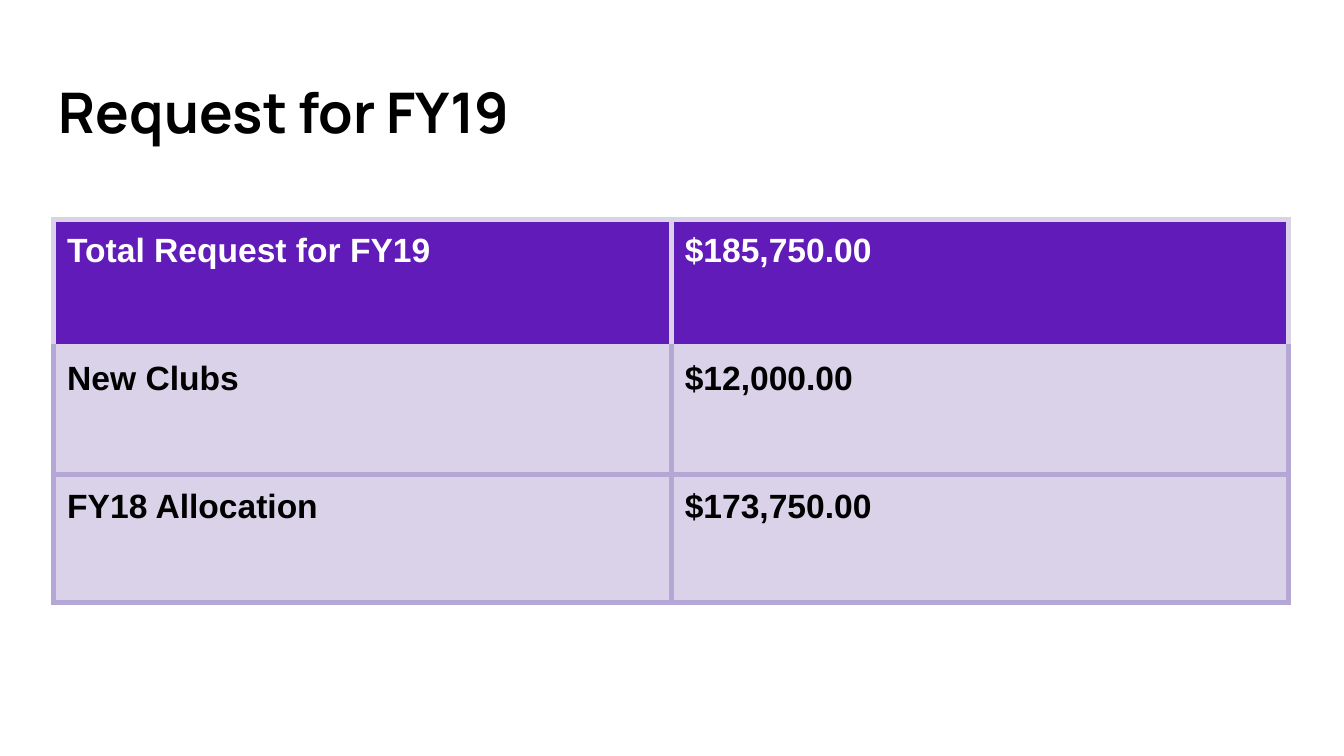
import pptx
import pptx.util
import pptx.dml.color
import pptx.enum.text
import pptx.oxml
import pptx.oxml.ns

Inches = pptx.util.Inches
TOP = pptx.enum.text.MSO_ANCHOR.TOP
MIDDLE = pptx.enum.text.MSO_ANCHOR.MIDDLE

PURPLE, LILAC, EDGE = "611BB8", "D9D2E9", "B4A7D6"
WHITE, BLACK = "FFFFFF", "000000"
ROWS = [
    ("Total Request for FY19", "$185,750.00"),
    ("New Clubs", "$12,000.00"),
    ("FY18 Allocation", "$173,750.00"),
]


def color(code):
    return pptx.dml.color.RGBColor.from_string(code)


def write(frame, text, size, name, code):
    para = frame.paragraphs[0]
    para.text = text
    font = para.runs[0].font
    style = {"size": pptx.util.Pt(size), "name": name, "bold": True}
    for key, value in style.items():
        setattr(font, key, value)
    font.color.rgb = color(code)


def pad(part, anchor):
    for side in ("left", "top", "right", "bottom"):
        setattr(part, "margin_" + side, Inches(0.1))
    part.vertical_anchor = anchor


def edge(cell, side, code, width=3):
    line = pptx.oxml.parse_xml(
        f'<a:ln{side} {pptx.oxml.ns.nsdecls("a")} w="{pptx.util.Pt(width)}">'
        f'<a:solidFill><a:srgbClr val="{code}"/></a:solidFill></a:ln{side}>'
    )
    cell._tc.get_or_add_tcPr().append(line)


def add_title(slide, left, top, width, height):
    box = slide.shapes.add_textbox(*map(Inches, (left, top, width, height)))
    frame = box.text_frame
    frame.word_wrap = True
    pad(frame, MIDDLE)
    write(frame, "Request for FY19", 30, "Manrope", BLACK)


def add_grid(slide, left, top, width, height):
    count, cols = len(ROWS), len(ROWS[0])
    place = map(Inches, (left, top, width, height))
    table = slide.shapes.add_table(count, cols, *place).table
    for col in table.columns:
        col.width = Inches(width / cols)
    for row in table.rows:
        row.height = Inches(height / count)

    for r, texts in enumerate(ROWS):
        head = r == 0
        # The header and the line below it have pale edges
        side = LILAC if head else EDGE
        above = LILAC if r < 2 else EDGE
        for c, text in enumerate(texts):
            cell = table.cell(r, c)
            pad(cell, TOP)
            write(cell.text_frame, text, 18, "Arial", WHITE if head else BLACK)
            for key, code in zip("LRTB", (side, side, above, side)):
                edge(cell, key, code)
            cell.fill.solid()
            cell.fill.fore_color.rgb = color(PURPLE if head else LILAC)


def main():
    deck = pptx.Presentation()
    # Widescreen, 16:9
    deck.slide_width, deck.slide_height = Inches(10), Inches(10 * 9 / 16)
    slide = deck.slides.add_slide(deck.slide_layouts[6])

    # Heading
    add_title(slide, 0.34, 0.49, 9.32, 0.68)
    # Request table
    add_grid(slide, 0.4, 1.63, 9.19, 2.85)

    deck.save("out.pptx")


if __name__ == "__main__":
    main()
